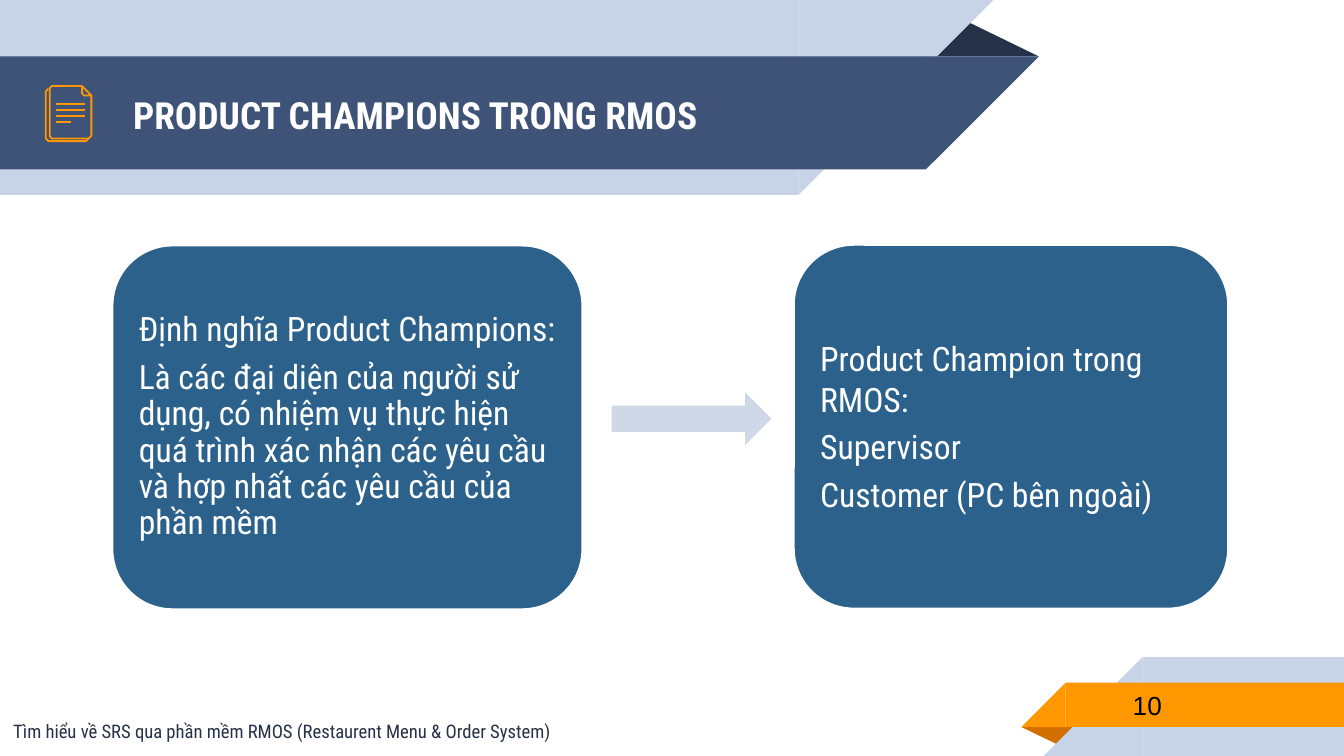
from dataclasses import dataclass
from typing import NamedTuple

from pptx import Presentation
from pptx.dml.color import RGBColor
from pptx.enum.shapes import MSO_CONNECTOR, MSO_SHAPE
from pptx.enum.text import MSO_ANCHOR, MSO_AUTO_SIZE, PP_ALIGN
from pptx.oxml.ns import qn
from pptx.shapes.autoshape import Shape
from pptx.shapes.base import BaseShape
from pptx.slide import Slide
from pptx.text.text import TextFrame
from pptx.util import Emu, Pt
from lxml import etree

RECTANGLE = MSO_SHAPE.RECTANGLE
RIGHT_TRIANGLE = MSO_SHAPE.RIGHT_TRIANGLE
TRIANGLE = MSO_SHAPE.ISOSCELES_TRIANGLE
ROUNDED = MSO_SHAPE.ROUNDED_RECTANGLE
ARROW = MSO_SHAPE.RIGHT_ARROW
STRAIGHT = MSO_CONNECTOR.STRAIGHT
TOP, MIDDLE = MSO_ANCHOR.TOP, MSO_ANCHOR.MIDDLE
LEFT = PP_ALIGN.LEFT
NO_AUTOFIT = MSO_AUTO_SIZE.NONE

EMU_PER_PX = 4572
FOLD_APEX = 0.324
INSET = 20
CARD_INSET = 14


@dataclass(frozen=True)
class Theme:
    navy: str = "3F5378"
    dark: str = "263248"
    pale: str = "C7D3E6"
    orange: str = "FF9800"
    burnt: str = "D26F00"
    card: str = "2B618B"
    arrow: str = "CED8E7"
    white: str = "FFFFFF"
    black: str = "000000"
    font: str = "Roboto Condensed"
    number_font: str = "Arial"
    title_size: int = 20
    card_size: int = 18
    number_size: int = 14
    footer_size: int = 10
    card_gap: float = 6.3
    icon_line: float = 0.96
    card_line: int = 2


THEME = Theme()


class Box(NamedTuple):
    left: int
    top: int
    width: int
    height: int


class Style(NamedTuple):
    size: int
    color: str
    font: str = THEME.font
    bold: bool = False


class Line(NamedTuple):
    text: str
    spacing: float = 1.0
    space_after: float = 0


@dataclass(frozen=True)
class Band:
    box: Box
    color: str
    slant_on_left: bool


@dataclass(frozen=True)
class Card:
    box: Box
    lines: list[Line]


class Outline(NamedTuple):
    points: list[tuple[int, int]]
    closed: bool


HEADER_FOLD = Box(1376, 28, 170, 56)
HEADER_BANDS = [
    Band(Box(0, 0, 1188, 290), THEME.pale, False),
    Band(Box(0, 84, 1378, 168), THEME.navy, False),
]
FOOTER_FOLD = Box(1520, 1082, 86, 28)
FOOTER_BANDS = [
    Band(Box(1700, 978, 300, 147), THEME.pale, True),
    Band(Box(1586, 1016, 414, 66), THEME.orange, True),
]
ICON_OUTLINES = [
    Outline([(132, 206), (128, 210), (72, 210), (68, 206), (68, 136), (72, 132)], False),
    Outline([(136, 142), (136, 202), (132, 206), (77, 206), (74, 203), (74, 131),
             (77, 128), (122, 128)], False),
    Outline([(122, 128), (136, 142), (125, 142), (122, 139)], True),
]
ICON_TEXT_LEFT, ICON_TEXT_TOP, ICON_TEXT_STEP = 84, 155, 9
ICON_TEXT_WIDTHS = [42, 42, 42, 22]

CARDS = [
    Card(Box(166, 364, 702, 544), [
        Line("Định nghĩa Product Champions:", 0.9, THEME.card_gap),
        Line("Là các đại diện của người sử dụng, có nhiệm vụ thực hiện quá trình "
             "xác nhận các yêu cầu và hợp nhất các yêu cầu của phần mềm",
             0.9, THEME.card_gap),
    ]),
    Card(Box(1180, 363, 649, 544), [
        Line("Product Champion trong RMOS:", 1.0, THEME.card_gap),
        Line("Supervisor", 0.9, THEME.card_gap),
        Line("Customer (PC bên ngoài)", 0.9, THEME.card_gap),
    ]),
]


def px(value: int) -> Emu:
    return Emu(value * EMU_PER_PX)


def rgb(color: str) -> RGBColor:
    return RGBColor.from_string(color)


def add_filled(slide: Slide, kind: MSO_SHAPE, box: Box, color: str) -> Shape:
    shape = slide.shapes.add_shape(kind, *map(px, box))
    shape.shadow.inherit = False
    shape.fill.solid()
    shape.fill.fore_color.rgb = rgb(color)
    shape.line.fill.background()
    return shape


def add_fold(slide: Slide, box: Box, color: str, rotation: int) -> None:
    shape = add_filled(slide, TRIANGLE, box, color)
    shape.adjustments[0] = FOLD_APEX
    shape.rotation = rotation


def add_band(slide: Slide, band: Band) -> None:
    box = band.box
    add_filled(slide, RECTANGLE, box, band.color)
    slant_left = box.left - box.height if band.slant_on_left else box.left + box.width
    slant = add_filled(slide, RIGHT_TRIANGLE,
                       Box(slant_left, box.top, box.height, box.height), band.color)
    slant.element.spPr.find(qn("a:xfrm")).set("flipH", "1")
    slant.rotation = 0 if band.slant_on_left else 180


def write(frame: TextFrame, lines: list[Line], style: Style,
          inset: int = INSET, anchor: MSO_ANCHOR = MIDDLE) -> None:
    frame.word_wrap = True
    frame.auto_size = NO_AUTOFIT
    frame.vertical_anchor = anchor
    frame.margin_left = frame.margin_right = px(inset)
    frame.margin_top = frame.margin_bottom = px(inset)
    for index, line in enumerate(lines):
        paragraph = frame.add_paragraph() if index else frame.paragraphs[0]
        paragraph.alignment = LEFT
        paragraph.line_spacing = line.spacing
        paragraph.space_before = Pt(0)
        paragraph.space_after = Pt(line.space_after)
        run = paragraph.add_run()
        run.text = line.text
        run.font.name = style.font
        run.font.size = Pt(style.size)
        run.font.bold = style.bold
        run.font.color.rgb = rgb(style.color)


def place_title(slide: Slide, box: Box, text: str) -> None:
    title = slide.shapes.title
    title.left, title.top, title.width, title.height = map(px, box)
    write(title.text_frame, [Line(text)],
          Style(THEME.title_size, THEME.white, bold=True))
    title.element.getparent().append(title.element)


def add_label(slide: Slide, box: Box, line: Line, style: Style, anchor: MSO_ANCHOR) -> None:
    label = slide.shapes.add_textbox(*map(px, box))
    write(label.text_frame, [line], style, anchor=anchor)


def stroke_icon(shape: BaseShape) -> None:
    shape.line.color.rgb = rgb(THEME.orange)
    shape.line.width = Pt(THEME.icon_line)


def add_document_icon(slide: Slide) -> None:
    for points, closed in ICON_OUTLINES:
        builder = slide.shapes.build_freeform(*points[0], scale=EMU_PER_PX)
        builder.add_line_segments(points[1:], close=closed)
        outline = builder.convert_to_shape()
        outline.shadow.inherit = False
        outline.fill.background()
        stroke_icon(outline)
    for row, width in enumerate(ICON_TEXT_WIDTHS):
        top = px(ICON_TEXT_TOP + row * ICON_TEXT_STEP)
        text_line = slide.shapes.add_connector(
            STRAIGHT, px(ICON_TEXT_LEFT), top, px(ICON_TEXT_LEFT + width), top)
        stroke_icon(text_line)
        etree.SubElement(text_line.element.spPr, qn("a:effectLst"))


def add_card(slide: Slide, card: Card) -> None:
    shape = add_filled(slide, ROUNDED, card.box, THEME.card)
    shape.line.color.rgb = rgb(THEME.white)
    shape.line.width = Pt(THEME.card_line)
    write(shape.text_frame, card.lines, Style(THEME.card_size, THEME.white), CARD_INSET)


def main() -> None:
    presentation = Presentation()
    presentation.slide_width, presentation.slide_height = px(2000), px(1125)
    slide = presentation.slides.add_slide(presentation.slide_layouts[5])
    add_fold(slide, HEADER_FOLD, THEME.dark, 0)
    for band in HEADER_BANDS:
        add_band(slide, band)
    add_fold(slide, FOOTER_FOLD, THEME.burnt, 180)
    for band in FOOTER_BANDS:
        add_band(slide, band)
    place_title(slide, Box(178, 86, 1150, 168), "PRODUCT CHAMPIONS TRONG RMOS")
    add_label(slide, Box(1666, 1014, 326, 70), Line("10"),
              Style(THEME.number_size, THEME.black, THEME.number_font), MIDDLE)
    add_document_icon(slide)
    add_label(slide, Box(0, 1034, 1130, 90),
              Line("Tìm hiểu về SRS qua phần mềm RMOS (Restaurent Menu & Order System)", 1.5),
              Style(THEME.footer_size, THEME.dark), TOP)
    add_filled(slide, ARROW, Box(910, 584, 238, 78), THEME.arrow)
    for card in CARDS:
        add_card(slide, card)
    presentation.save("out.pptx")


if __name__ == "__main__":
    main()
